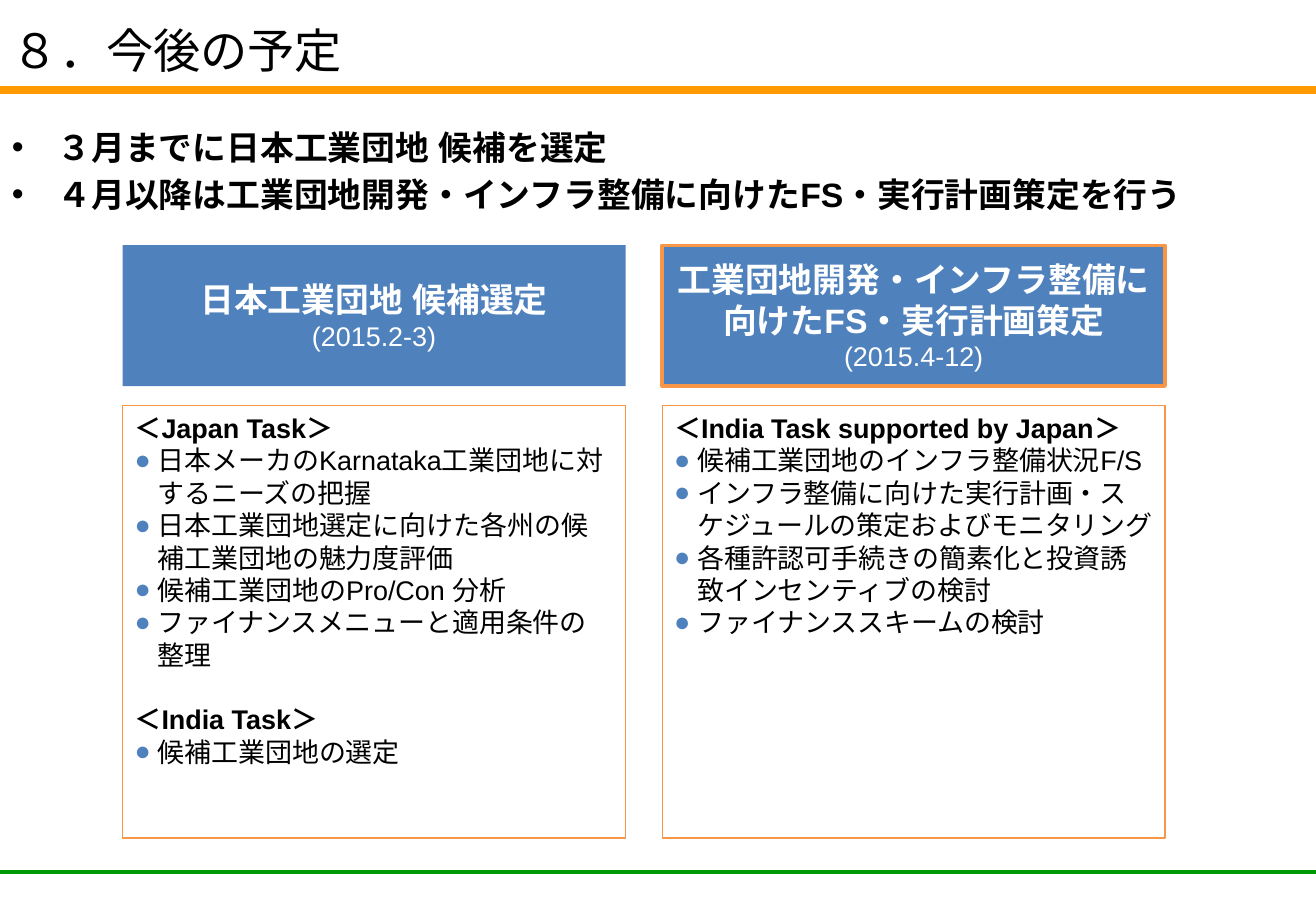
from lxml import etree
from pptx import Presentation
from pptx.dml.color import RGBColor
from pptx.enum.lang import MSO_LANGUAGE_ID
from pptx.enum.shapes import MSO_CONNECTOR, MSO_SHAPE
from pptx.enum.text import MSO_ANCHOR, PP_ALIGN
from pptx.oxml.ns import qn
from pptx.util import Pt

RECTANGLE = MSO_SHAPE.RECTANGLE
STRAIGHT = MSO_CONNECTOR.STRAIGHT
TOP, MIDDLE = MSO_ANCHOR.TOP, MSO_ANCHOR.MIDDLE
LEFT, CENTER = PP_ALIGN.LEFT, PP_ALIGN.CENTER
JAPANESE = MSO_LANGUAGE_ID.JAPANESE
FONT = "Arial"
BLACK, WHITE, BLUE, ORANGE = "000000", "FFFFFF", "4F81BD", "F79646"
RULE_ORANGE, RULE_GREEN = "FF9900", "009900"
SLIDE_WIDTH, SLIDE_HEIGHT = 780, 540
COLUMN_LEFT, COLUMN_TOP, COLUMN_WIDTH, COLUMN_PITCH = 72.7, 145.4, 298.1, 319.8
HEADER_HEIGHT, CARD_OFFSET, CARD_HEIGHT = 83.5, 95.1, 256.3
TASK_INDENT, AGENDA_INDENT = 13.7, 27
GROUP_GAP = 19.2

AGENDA = [
    "３月までに日本工業団地 候補を選定",
    "４月以降は工業団地開発・インフラ整備に向けたFS・実行計画策定を行う",
]
PHASES = [
    {
        "title": ["日本工業団地 候補選定"],
        "period": "(2015.2-3)",
        "border": None,
        "groups": [
            ("＜Japan Task＞", [
                "日本メーカのKarnataka工業団地に対するニーズの把握",
                "日本工業団地選定に向けた各州の候補工業団地の魅力度評価",
                "候補工業団地のPro/Con 分析",
                "ファイナンスメニューと適用条件の整理",
            ]),
            ("＜India Task＞", ["候補工業団地の選定"]),
        ],
    },
    {
        "title": ["工業団地開発・インフラ整備に", "向けたFS・実行計画策定"],
        "period": "(2015.4-12)",
        "border": ORANGE,
        "groups": [
            ("＜India Task supported by Japan＞", [
                "候補工業団地のインフラ整備状況F/S",
                "インフラ整備に向けた実行計画・スケジュールの策定およびモニタリング",
                "各種許認可手続きの簡素化と投資誘致インセンティブの検討",
                "ファイナンススキームの検討",
            ]),
        ],
    },
]


def color(value):
    """Return the colour for a hex string."""
    return RGBColor.from_string(value)


def add_text(frame, text, size=16, ink=BLACK, bold=False, align=LEFT,
             bullet=None, bullet_ink=BLACK, indent=0, before=0, after=0):
    """Write one formatted paragraph into a text frame."""
    first = frame.paragraphs[0]
    paragraph = frame.add_paragraph() if first.runs else first
    paragraph.alignment = align
    paragraph.space_before, paragraph.space_after = Pt(before), Pt(after)
    properties = paragraph._p.get_or_add_pPr()
    if indent:
        properties.set("marL", str(Pt(indent)))
        properties.set("indent", str(-Pt(indent)))
    if bullet:
        bullet_color = etree.SubElement(properties, qn("a:buClr"))
        etree.SubElement(bullet_color, qn("a:srgbClr"), val=bullet_ink)
        etree.SubElement(properties, qn("a:buFont"), typeface=FONT)
        etree.SubElement(properties, qn("a:buChar"), char=bullet)
    run = paragraph.add_run()
    run.text = text
    run.font.size, run.font.bold, run.font.name = Pt(size), bold, FONT
    run.font.color.rgb = color(ink)
    run.font.language_id = JAPANESE
    etree.SubElement(run.font._element, qn("a:ea"), typeface=FONT)


def add_text_box(slide, left, top, width, height, anchor=TOP):
    """Add a wrapping text box and return its text frame."""
    box = slide.shapes.add_textbox(Pt(left), Pt(top), Pt(width), Pt(height))
    frame = box.text_frame
    frame.word_wrap, frame.vertical_anchor = True, anchor
    return frame


def add_panel(slide, left, top, width, height, fill, border=None, weight=0.75, anchor=TOP):
    """Add a flat rectangle and return its text frame."""
    shape = slide.shapes.add_shape(RECTANGLE, Pt(left), Pt(top), Pt(width), Pt(height))
    shape.shadow.inherit = False
    shape.fill.solid()
    shape.fill.fore_color.rgb = color(fill)
    if border:
        shape.line.color.rgb = color(border)
        shape.line.width = Pt(weight)
    else:
        shape.line.fill.background()
    frame = shape.text_frame
    frame.word_wrap, frame.vertical_anchor = True, anchor
    return frame


def add_rule(slide, left, top, width, ink, weight):
    """Draw a horizontal rule."""
    rule = slide.shapes.add_connector(STRAIGHT, Pt(left), Pt(top), Pt(left + width), Pt(top))
    rule.line.color.rgb = color(ink)
    rule.line.width = Pt(weight)
    etree.SubElement(rule._element.spPr, qn("a:effectLst"))


def add_title(slide, left, top, width, height):
    """Place the slide title."""
    frame = add_text_box(slide, left, top, width, height, anchor=MIDDLE)
    add_text(frame, "８．今後の予定", size=28)


def add_agenda(slide, left, top, width, height):
    """Place the two summary bullets."""
    frame = add_text_box(slide, left, top, width, height)
    for item in AGENDA:
        add_text(frame, item, size=20, bold=True, bullet="•", indent=AGENDA_INDENT, after=4)


def add_phase(slide, left, top, width, phase):
    """Place one phase: its header and the task card below."""
    header = add_panel(slide, left, top, width, HEADER_HEIGHT, BLUE,
                       border=phase["border"], weight=2, anchor=MIDDLE)
    for line in phase["title"]:
        add_text(header, line, size=20, ink=WHITE, bold=True, align=CENTER)
    add_text(header, phase["period"], ink=WHITE, align=CENTER)

    card = add_panel(slide, left, top + CARD_OFFSET, width, CARD_HEIGHT, WHITE, border=ORANGE)
    for index, (heading, tasks) in enumerate(phase["groups"]):
        add_text(card, heading, bold=True, indent=TASK_INDENT,
                 before=GROUP_GAP if index else 0)
        for task in tasks:
            add_text(card, task, bullet="●", bullet_ink=BLUE, indent=TASK_INDENT)


def main():
    """Build and save the presentation."""
    presentation = Presentation()
    presentation.slide_width, presentation.slide_height = Pt(SLIDE_WIDTH), Pt(SLIDE_HEIGHT)
    slide = presentation.slides.add_slide(presentation.slide_layouts[6])
    add_rule(slide, 0, 53.3, SLIDE_WIDTH, RULE_ORANGE, 4.5)
    add_rule(slide, 0, 517, SLIDE_WIDTH, RULE_GREEN, 2.5)
    add_agenda(slide, 0, 71.3, 764, 56.9)
    for index, phase in enumerate(PHASES):
        add_phase(slide, COLUMN_LEFT + index * COLUMN_PITCH, COLUMN_TOP, COLUMN_WIDTH, phase)
    add_title(slide, 0, 15.1, 748.8, 28.1)
    presentation.save("out.pptx")


if __name__ == "__main__":
    main()
